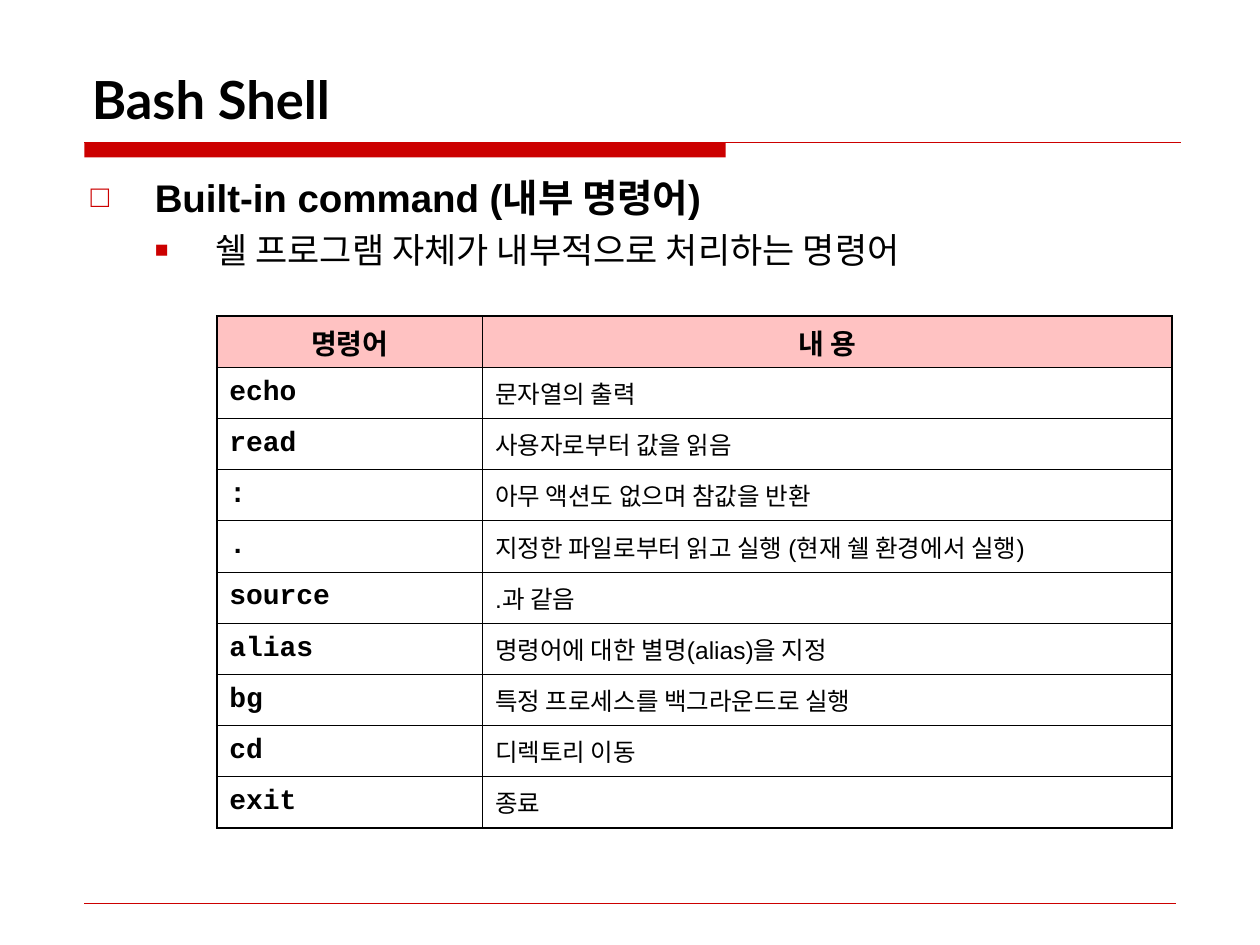
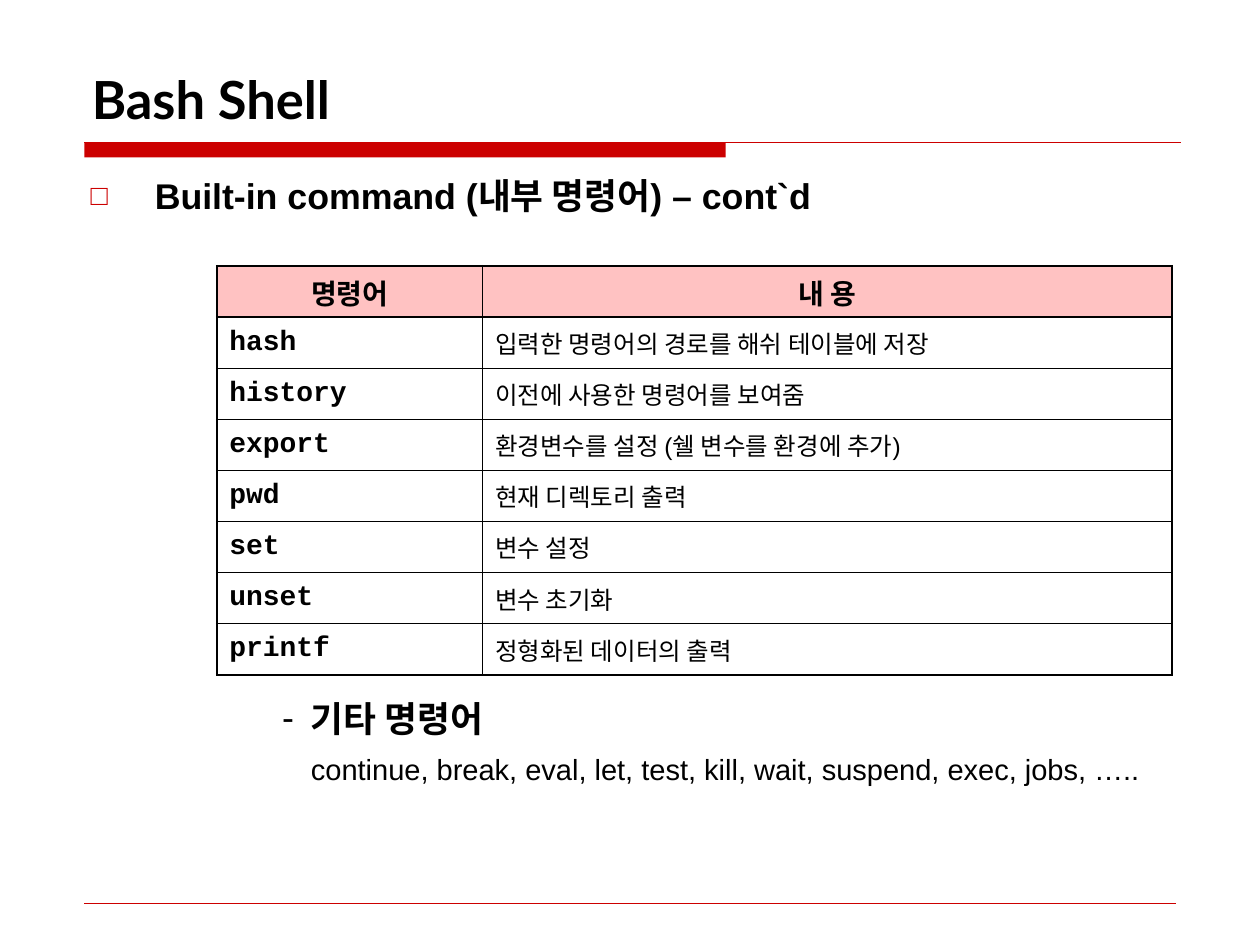
from lxml import etree
from pptx import Presentation
from pptx.dml.color import RGBColor
from pptx.enum.shapes import MSO_CONNECTOR, MSO_SHAPE
from pptx.enum.text import MSO_ANCHOR, PP_ALIGN
from pptx.oxml.ns import qn
from pptx.util import Inches, Pt

# Shared look
RED = RGBColor(0xCC, 0x00, 0x00)
PINK = RGBColor(0xFF, 0xC2, 0xC2)
BLACK = RGBColor(0x00, 0x00, 0x00)
TEXT_FONT, CODE_FONT, TITLE_FONT = "Arial", "Courier New", "Lato"
THICK, THIN = Pt(1.08), Pt(0.45)

# Table layout
TABLE_LEFT = 1.72
COMMAND_WIDTH, MEANING_WIDTH = 2.11, 5.47
HEADER = ("명령어", "내 용")

BASIC_COMMANDS = [
    ("echo", "문자열의 출력"),
    ("read", "사용자로부터 값을 읽음"),
    (":", "아무 액션도 없으며 참값을 반환"),
    (".", "지정한 파일로부터 읽고 실행 (현재 쉘 환경에서 실행)"),
    ("source", ".과 같음"),
    ("alias", "명령어에 대한 별명(alias)을 지정"),
    ("bg", "특정 프로세스를 백그라운드로 실행"),
    ("cd", "디렉토리 이동"),
    ("exit", "종료"),
]
MORE_COMMANDS = [
    ("hash", "입력한 명령어의 경로를 해쉬 테이블에 저장"),
    ("history", "이전에 사용한 명령어를 보여줌"),
    ("export", "환경변수를 설정 (쉘 변수를 환경에 추가)"),
    ("pwd", "현재 디렉토리 출력"),
    ("set", "변수 설정"),
    ("unset", "변수 초기화"),
    ("printf", "정형화된 데이터의 출력"),
]


def set_font(paragraph, size, bold=False, name=TEXT_FONT):
    font = paragraph.font
    font.name, font.size, font.bold = name, Pt(size), bold
    font.color.rgb = BLACK


def set_bullet(paragraph, char, margin, hanging, color=RED, percent=100):
    props = paragraph._p.get_or_add_pPr()
    props.set("marL", str(Inches(margin)))
    props.set("indent", str(-Inches(hanging)))
    if not char:
        return
    bullet_color = etree.SubElement(props, qn("a:buClr"))
    etree.SubElement(bullet_color, qn("a:srgbClr"), val=str(color))
    etree.SubElement(props, qn("a:buSzPct"), val=str(percent * 1000))
    etree.SubElement(props, qn("a:buFont"), typeface=TEXT_FONT)
    etree.SubElement(props, qn("a:buChar"), char=char)


def add_text_frame(slide, left, top, width, height, anchor=MSO_ANCHOR.TOP):
    box = slide.shapes.add_textbox(
        Inches(left), Inches(top), Inches(width), Inches(height))
    frame = box.text_frame
    frame.word_wrap = True
    frame.vertical_anchor = anchor
    return frame


def add_rule(slide, left, right, y, weight):
    rule = slide.shapes.add_connector(
        MSO_CONNECTOR.STRAIGHT, Inches(left), Inches(y), Inches(right), Inches(y))
    rule.line.color.rgb = RED
    rule.line.width = Pt(weight)
    etree.SubElement(rule._element.spPr, qn("a:effectLst"))


def add_base_slide(prs, title):
    """Blank slide with the title, the red band and the footer rule."""
    slide = prs.slides.add_slide(prs.slide_layouts[6])
    band = slide.shapes.add_shape(
        MSO_SHAPE.RECTANGLE, Inches(0.67), Inches(1.13), Inches(5.09), Inches(0.12))
    band.shadow.inherit = False
    band.fill.solid()
    band.fill.fore_color.rgb = RED
    band.line.fill.background()
    add_rule(slide, 0.67, 9.37, 1.13, 0.75)
    add_rule(slide, 0.67, 9.33, 7.17, 0.25)

    heading = add_text_frame(slide, 0.63, 0.33, 8.75, 0.75, MSO_ANCHOR.BOTTOM)
    heading.text = title
    set_font(heading.paragraphs[0], 30, True, TITLE_FONT)
    return slide


def add_topic(slide, topic, size, detail=None):
    frame = add_text_frame(slide, 0.62, 1.33, 8.75, 1)
    first = frame.paragraphs[0]
    first.text = topic
    set_bullet(first, "□", 0.51, 0.51, percent=80)
    set_font(first, size, True)
    if detail:
        second = frame.add_paragraph()
        second.text = detail
        set_bullet(second, "■", 0.99, 0.48, percent=65)
        second.space_before = Pt(5)
        set_font(second, 20)


def set_borders(cell, left, right, top, bottom):
    props = cell._tc.get_or_add_tcPr()
    for side, width in zip("LRTB", (left, right, top, bottom)):
        border = etree.SubElement(props, qn(f"a:ln{side}"), w=str(width))
        fill = etree.SubElement(border, qn("a:solidFill"))
        etree.SubElement(fill, qn("a:srgbClr"), val=str(BLACK))


def add_command_table(slide, top, height, commands):
    rows = [HEADER, *commands]
    table = slide.shapes.add_table(
        len(rows), 2, Inches(TABLE_LEFT), Inches(top),
        Inches(COMMAND_WIDTH + MEANING_WIDTH), Inches(height)).table
    table.first_row = table.horz_banding = False
    table.columns[0].width = Inches(COMMAND_WIDTH)
    table.columns[1].width = Inches(MEANING_WIDTH)
    for r, row in enumerate(rows):
        is_header, is_last = r == 0, r == len(rows) - 1
        for c, text in enumerate(row):
            cell = table.cell(r, c)
            cell.text = text
            paragraph = cell.text_frame.paragraphs[0]
            # Heavy outline and header rule, fine lines inside
            set_borders(cell,
                        left=THICK if c == 0 else THIN,
                        right=THICK if c == 1 else THIN,
                        top=THICK if r <= 1 else THIN,
                        bottom=THICK if is_header or is_last else THIN)
            if is_header:
                cell.fill.solid()
                cell.fill.fore_color.rgb = PINK
                paragraph.alignment = PP_ALIGN.CENTER
                set_font(paragraph, 16, True)
                continue
            cell.fill.background()
            cell.vertical_anchor = MSO_ANCHOR.MIDDLE
            if c == 0:
                set_font(paragraph, 16, True, CODE_FONT)
            else:
                set_font(paragraph, 14)


def add_other_commands(slide, label, names):
    frame = add_text_frame(slide, 2.14, 5.48, 7.23, 0.95)
    heading = frame.paragraphs[0]
    heading.text = label
    set_bullet(heading, "-", 0.23, 0.23, BLACK)
    set_font(heading, 20.4, True)
    listing = frame.add_paragraph()
    listing.text = names
    set_bullet(listing, None, 0.23, 0)
    listing.space_before = Pt(7)
    set_font(listing, 16.6)


def main():
    prs = Presentation()
    prs.slide_width, prs.slide_height = Inches(10), Inches(7.5)

    # Built-in commands
    basics = add_base_slide(prs, "Bash Shell")
    add_topic(basics, "Built-in command (내부 명령어)", 22,
              "쉘 프로그램 자체가 내부적으로 처리하는 명령어")
    add_command_table(basics, 2.51, 4.06, BASIC_COMMANDS)

    # Built-in commands, continued
    more = add_base_slide(prs, "Bash Shell")
    add_topic(more, "Built-in command (내부 명령어) – cont`d", 20.4)
    add_command_table(more, 2.11, 3.25, MORE_COMMANDS)
    add_other_commands(
        more, "기타 명령어",
        "continue, break, eval, let, test, kill, wait, suspend, exec, jobs, …..")

    prs.save("out.pptx")


if __name__ == "__main__":
    main()
